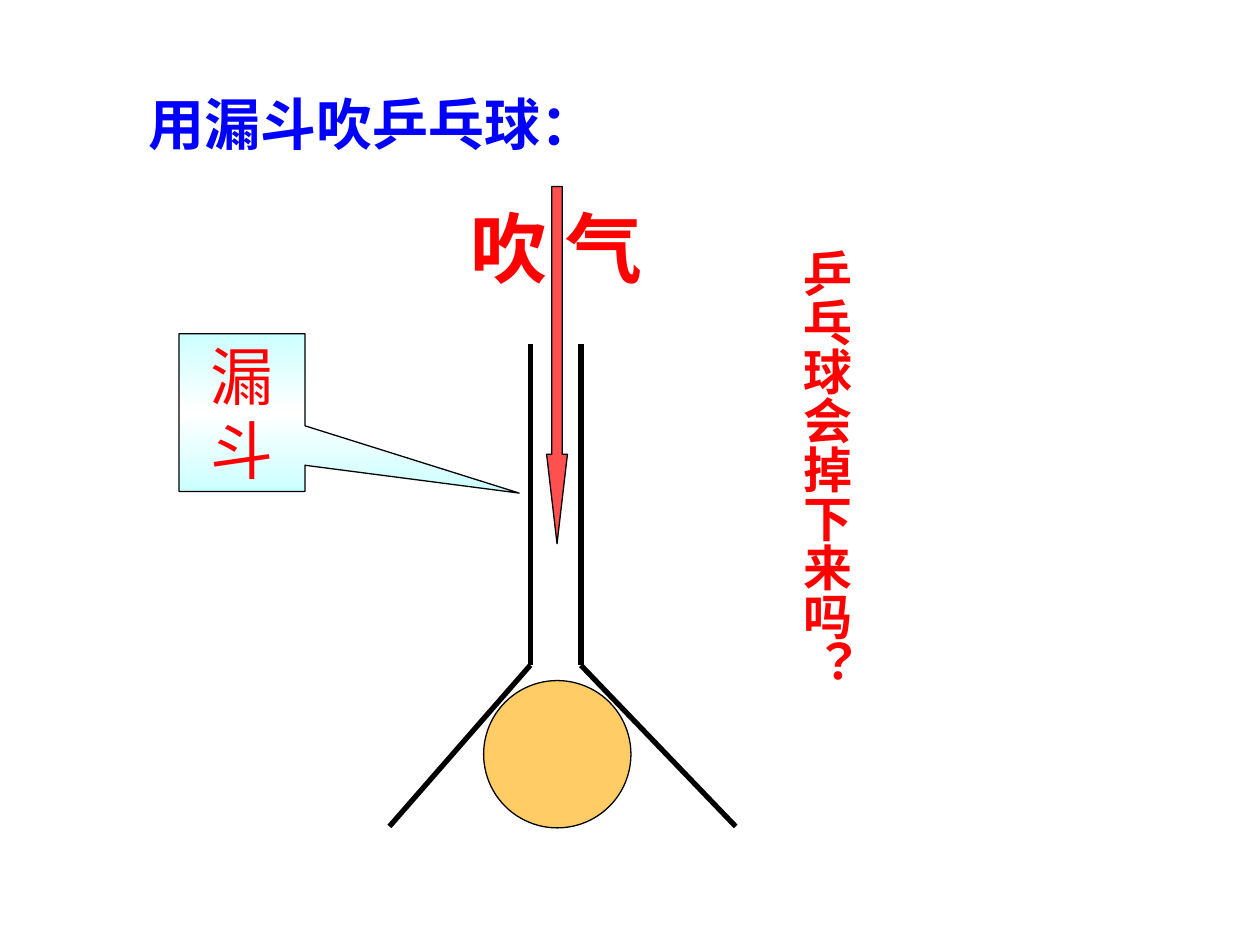
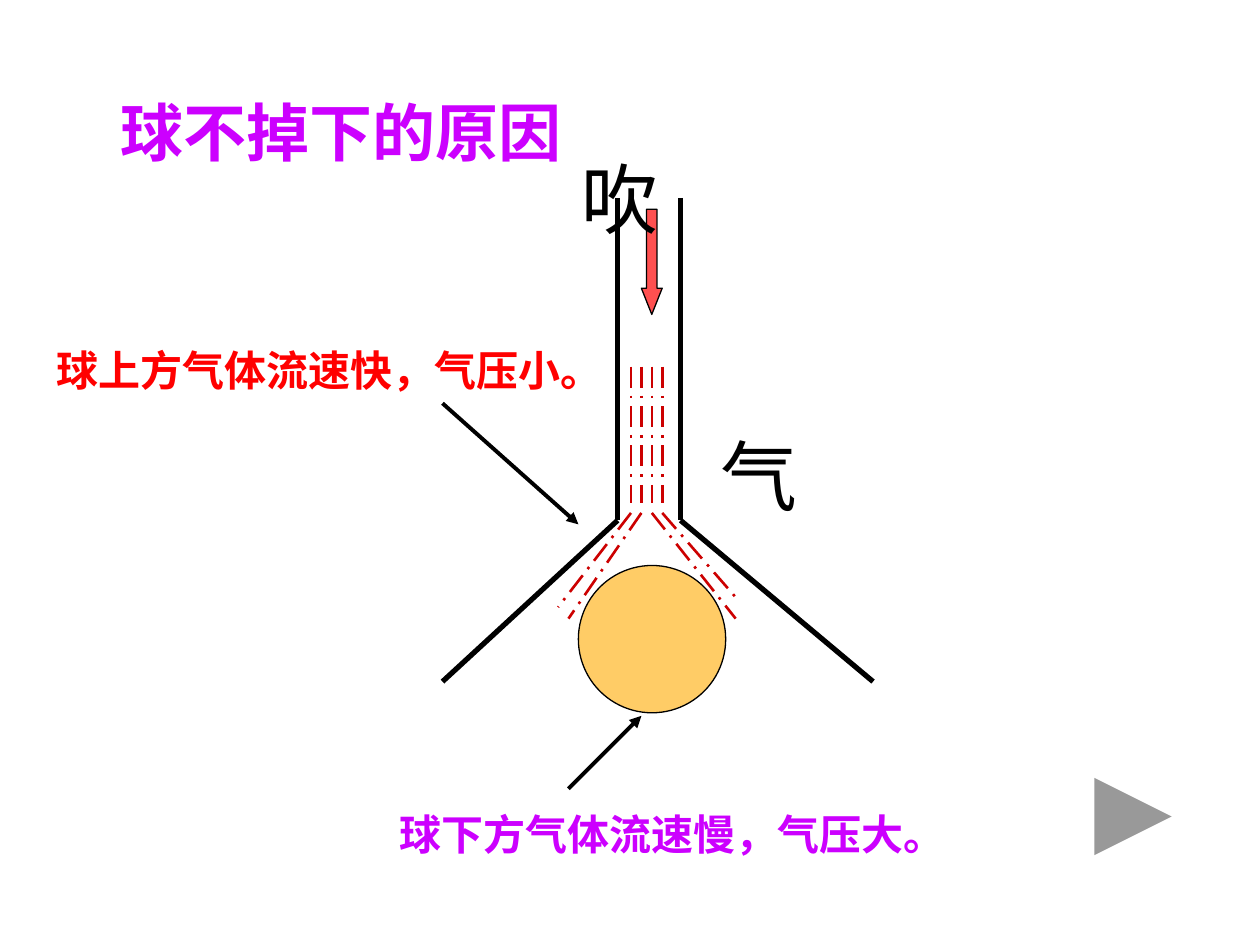
"""Two lesson slides: blowing at a table tennis ball through a funnel."""
from copy import deepcopy

from lxml import etree
from pptx import Presentation
from pptx import util as u
from pptx.dml.color import RGBColor
from pptx.enum import dml, shapes, text
from pptx.oxml.ns import qn

BLACK = RGBColor(0x00, 0x00, 0x00)
WHITE = RGBColor(0xFF, 0xFF, 0xFF)
RED = RGBColor(0xFF, 0x00, 0x00)
BLUE = RGBColor(0x00, 0x00, 0xFF)
PURPLE = RGBColor(0xCC, 0x00, 0xFF)
CORAL = RGBColor(0xFF, 0x50, 0x50)
CRIMSON = RGBColor(0xCC, 0x00, 0x00)
ORANGE = RGBColor(0xFF, 0xCC, 0x66)
ICE = RGBColor(0xCC, 0xFF, 0xFF)

SANS = "Noto Sans CJK SC"
SERIF = "Times New Roman"
LINE_HEIGHT = 1.19
BALL_SIZE = 2.97
ARROW_WIDTH = 0.42
LEFT = text.PP_ALIGN.LEFT
CENTER = text.PP_ALIGN.CENTER


class Lesson:
    def __init__(self):
        self.deck = Presentation()
        self.deck.slide_width = u.Cm(25.4)
        self.deck.slide_height = u.Cm(19.05)
        self.page = None

    def add_page(self):
        self.page = self.deck.slides.add_slide(self.deck.slide_layouts[6])

    def set_words(self, box, words, size, color, font, bold=True, align=CENTER, spacing=1):
        frame = box.text_frame
        frame.word_wrap = True
        frame.text = words
        para = frame.paragraphs[0]
        para.alignment = align
        para.line_spacing = u.Pt(round(size * LINE_HEIGHT * spacing, 1))
        span = para.runs[0]
        span.font.size = u.Pt(size)
        span.font.bold = bold
        span.font.name = font
        span.font.color.rgb = color
        for props in box.element.iter(qn("a:rPr")):
            etree.SubElement(props, qn("a:ea"), typeface=SANS)

    def label(self, place, words, size, color, font=SANS, vertical=False, **style):
        box = self.page.shapes.add_textbox(*map(u.Cm, place))
        self.set_words(box, words, size, color, font, **style)
        if vertical:
            box.element.txBody.find(qn("a:bodyPr")).set("vert", "eaVert")

    def shape(self, kind, place, fill, outline=True):
        item = self.page.shapes.add_shape(kind, *map(u.Cm, place))
        item.shadow.inherit = False
        item.fill.solid()
        item.fill.fore_color.rgb = fill
        if outline:
            item.line.color.rgb = BLACK
            item.line.width = u.Pt(0.75)
        else:
            item.line.fill.background()
        return item

    def line(self, start, end, color=BLACK, width=3, dash=None, arrow=False):
        link = self.page.shapes.add_connector(
            shapes.MSO_CONNECTOR.STRAIGHT, *map(u.Cm, (*start, *end)))
        link.line.color.rgb = color
        link.line.width = u.Pt(width)
        if dash:
            link.line.dash_style = dash
        props = link.element.spPr
        if arrow:
            etree.SubElement(props.find(qn("a:ln")), qn("a:tailEnd"), type="triangle")
        etree.SubElement(props, qn("a:effectLst"))

    def funnel(self, walls, feet, top, neck, bottom):
        for wall, foot in zip(walls, feet):
            self.line((wall, top), (wall, neck))
            self.line((wall, neck), (foot, bottom))

    def ball(self, left, top):
        self.shape(shapes.MSO_SHAPE.OVAL, (left, top, BALL_SIZE, BALL_SIZE), ORANGE)

    def blow_arrow(self, left, top, height):
        arrow = self.shape(shapes.MSO_SHAPE.DOWN_ARROW, (left, top, ARROW_WIDTH, height), CORAL)
        arrow.adjustments[1] = height / ARROW_WIDTH / 4

    def callout(self, place, tip, words):
        box = self.shape(shapes.MSO_SHAPE.RECTANGULAR_CALLOUT, place, ICE)
        box.adjustments[0], box.adjustments[1] = tip
        box.fill.gradient()
        box.fill.gradient_angle = 90
        stops = box.element.spPr.find(".//" + qn("a:gsLst"))
        stops.append(deepcopy(stops[0]))
        for stop, position, color in zip(box.fill.gradient_stops, (0, 0.5, 1), (ICE, WHITE, ICE)):
            stop.position = position
            stop.color.rgb = color
        box.text_frame.vertical_anchor = text.MSO_ANCHOR.MIDDLE
        self.set_words(box, words, 36, RED, SERIF, bold=False)

    def air_stream(self, start, end):
        self.line(start, end, CRIMSON, 1.5, dml.MSO_LINE.LONG_DASH_DOT)

    def pointer(self, start, end):
        self.line(start, end, width=2.25, arrow=True)


def question_page(lesson):
    lesson.add_page()
    lesson.funnel((10.69, 11.71), (7.85, 14.83), 6.93, 13.41, 16.66)
    lesson.ball(9.75, 13.72)
    lesson.blow_arrow(11.02, 3.76, 7.2)
    lesson.label((5.44, 3.94, 11.56, 2.11), "吹 气", 44, RED)
    lesson.callout((3.61, 6.73, 2.54, 3.18), (2.2, 0.51), "漏斗")
    lesson.label((15.67, 4.78, 1.7, 11.25), "乒乓球会掉下来吗？", 28, RED, SERIF, vertical=True)
    lesson.label((2.74, 1.7, 19.9, 1.6), "用漏斗吹乒乓球：", 32, BLUE, align=LEFT)


def reason_page(lesson):
    lesson.add_page()
    lesson.funnel((12.45, 13.72), (8.92, 17.6), 3.99, 10.49, 13.74)
    lesson.ball(11.66, 11.4)
    lesson.blow_arrow(12.93, 4.22, 2.12)
    for word, left, top in (("吹", 11.4, 2.95), ("气", 14.2, 8.53)):
        lesson.label((left, top, 2.2, 2.11), word, 44, BLACK, bold=False)

    branch_ends = ((11.25, 12.24), (11.46, 12.47), (14.83, 12.47), (14.83, 12.04))
    for index, branch_end in enumerate(branch_ends):
        x = 12.72 + 0.21 * index
        lesson.air_stream((x, 7.39), (x, 10.13))
        lesson.air_stream((x, 10.34), branch_end)

    lesson.pointer((8.92, 8.13), (11.66, 10.57))
    lesson.label((0.89, 6.32, 11.1, 1.8), "球上方气体流速快，气压小。", 24, RED, SERIF,
                 align=LEFT, spacing=1.5)
    lesson.pointer((11.46, 15.9), (12.93, 14.43))
    lesson.label((7.34, 15.67, 12.42, 1.8), "球下方气体流速慢，气压大。", 24, PURPLE, SERIF,
                 spacing=1.5)
    lesson.label((2.18, 1.78, 15.04, 1.78), "球不掉下的原因", 36, PURPLE, align=LEFT)
    lesson.shape(shapes.MSO_SHAPE.ACTION_BUTTON_FORWARD_OR_NEXT,
                 (21.62, 15.42, 2.44, 2.08), WHITE, outline=False)


def main():
    lesson = Lesson()
    question_page(lesson)
    reason_page(lesson)
    lesson.deck.save("out.pptx")


if __name__ == "__main__":
    main()
